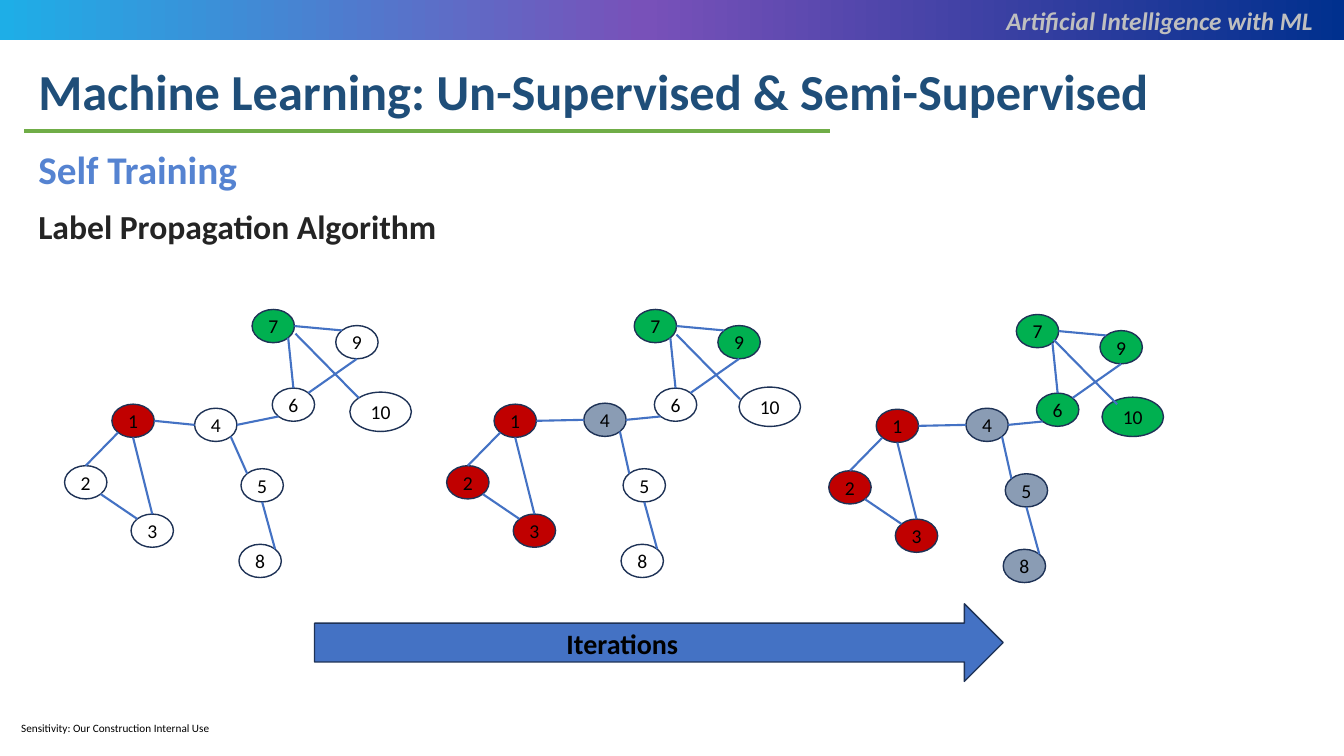
import copy
import math
import pptx
import pptx.util
import pptx.dml.color
import pptx.enum.shapes
import pptx.enum.text
import pptx.oxml
import pptx.oxml.ns

Inches = pptx.util.Inches
Pt = pptx.util.Pt
Kind = pptx.enum.shapes.MSO_SHAPE
Align = pptx.enum.text.PP_ALIGN
Anchor = pptx.enum.text.MSO_ANCHOR
Fit = pptx.enum.text.MSO_AUTO_SIZE
qn = pptx.oxml.ns.qn

HUES = {
    "navy": "00308E", "plum": "7851B9", "sky": "1EAEE7",
    "title": "1F4E79", "rule": "70AD47", "head": "5583D1", "sub": "242424",
    "pale": "BFBFBF", "black": "000000", "edge": "4472C4", "rim": "1E3256",
    "red": "C00000", "green": "00B050", "gray": "8A9CB4",
}

NODES = {
    "3": (1.3, 5.1), "2": (0.64, 4.62), "1": (1.11, 4.01), "4": (2, 4),
    "5": (2.39, 4.65), "6": (2.7, 3.85), "7": (2.5, 3.07),
    "8": (2.37, 5.4), "9": (3.33, 3.23),
}
SIZE = (0.42, 0.33)
SITES = {"E": 0, "SE": 45, "S": 90, "SW": 135, "W": 180, "NW": 225, "N": 270, "NE": 315}
EDGES = [
    ("1", "SW", "2", "N"), ("8", "NE", "5", "S"), ("5", "NW", "4", "SE"),
    ("1", "S", "3", "N"), ("2", "SE", "3", "NW"), ("4", "E", "6", "SW"),
    ("7", "SE", "6", "N"), ("7", "E", "9", "NW"), ("9", "S", "6", "NE"),
    ("1", "E", "4", "W"),
]
STEPS = [
    {"shift": (0, 0), "moved": {"4": (1.93, 4.05)}, "ten": (3.47, 3.89),
     "link": (2.93, 3.31), "marks": {"red": ["1"], "green": ["7"]}},
    {"shift": (3.79, 0), "moved": {}, "ten": (7.33, 3.84),
     "link": (6.71, 3.32),
     "marks": {"red": ["1", "2", "3"], "green": ["7", "9"], "gray": ["4"]}},
    {"shift": (7.58, 0.05), "moved": {}, "ten": (10.93, 3.94),
     "link": (10.45, 3.37),
     "marks": {"red": ["1", "2", "3"], "green": ["6", "7", "9", "10"],
               "gray": ["4", "5", "8"]}},
]


def site(spot, name):
    turn = math.radians(SITES[name])
    return tuple(p + s / 2 * (1 + f(turn))
                 for p, s, f in zip(spot, SIZE, (math.cos, math.sin)))


class Deck:
    font = "Calibri"

    def __init__(self):
        self.show = pptx.Presentation()
        self.show.slide_width = Inches(13.33)
        self.show.slide_height = Inches(7.5)
        self.slide = self.show.slides.add_slide(self.show.slide_layouts[1])

    def hue(self, name):
        return pptx.dml.color.RGBColor.from_string(HUES[name])

    def style(self, par, size, hue, bold=False, slant=False, align=Align.LEFT):
        par.alignment = align
        for run in par.runs:
            font = run.font
            font.name = self.font
            font.size = Pt(size)
            font.bold = bold
            font.italic = slant
            font.color.rgb = self.hue(hue)

    def place(self, item, box):
        item.left, item.top, item.width, item.height = map(Inches, box)

    def hold(self, index, box, lines):
        item = self.slide.placeholders[index]
        self.place(item, box)
        frame = item.text_frame
        frame.text = "\n".join(line[0] for line in lines)
        frame.auto_size = Fit.NONE
        frame.vertical_anchor = Anchor.TOP
        for row, (par, line) in enumerate(zip(frame.paragraphs, lines)):
            prop = par._p.get_or_add_pPr()
            prop.set("marL", "0")
            prop.set("indent", "0")
            prop.append(pptx.oxml.parse_xml(
                '<a:buNone xmlns:a="http://schemas.openxmlformats.org/drawingml/2006/main"/>'))
            par.space_before = Pt(10 if row else 0)
            self.style(par, line[1], line[2], bold=True)

    def text(self, words, box, size, hue, inset=True, **look):
        item = self.slide.shapes.add_textbox(*map(Inches, box))
        frame = item.text_frame
        frame.word_wrap = inset
        if not inset:
            frame.margin_left = frame.margin_right = 0
            frame.margin_top = frame.margin_bottom = 0
        frame.text = words
        self.style(frame.paragraphs[0], size, hue, **look)

    def shape(self, kind, box, fill=None, rim="rim"):
        item = self.slide.shapes.add_shape(kind, *map(Inches, box))
        item.shadow.inherit = False
        if fill:
            item.fill.solid()
            item.fill.fore_color.rgb = self.hue(fill)
        else:
            item.fill.background()
        if rim:
            item.line.color.rgb = self.hue(rim)
            item.line.width = Pt(1)
        else:
            item.line.fill.background()
        return item

    def band(self, box, hues):
        item = self.shape(Kind.RECTANGLE, box, rim=None)
        item.fill.gradient()
        item.fill.gradient_angle = 180
        stops = item._element.spPr.find(".//" + qn("a:gsLst"))
        stops.insert(1, copy.deepcopy(stops[0]))
        for stop, (at, hue) in zip(item.fill.gradient_stops, hues):
            stop.position = at
            stop.color.rgb = self.hue(hue)

    def node(self, label, spot, fill=None, size=SIZE):
        item = self.shape(Kind.OVAL, (*spot, *size), fill)
        frame = item.text_frame
        frame.margin_left = frame.margin_right = 0
        frame.margin_top = frame.margin_bottom = 0
        frame.word_wrap = False
        frame.vertical_anchor = Anchor.MIDDLE
        frame.text = label
        self.style(frame.paragraphs[0], 14, "black", align=Align.CENTER)

    def line(self, start, end, hue="edge", width=1.5):
        item = self.slide.shapes.add_connector(
            pptx.enum.shapes.MSO_CONNECTOR.STRAIGHT, *map(Inches, (*start, *end)))
        item.line.color.rgb = self.hue(hue)
        item.line.width = Pt(width)
        item._element.spPr.append(pptx.oxml.parse_xml(
            '<a:effectLst xmlns:a="http://schemas.openxmlformats.org/drawingml/2006/main"/>'))

    def graph(self, step):
        fills = {n: hue for hue, names in step["marks"].items() for n in names}
        dx, dy = step["shift"]
        spots = {n: (x + dx, y + dy) for n, (x, y) in NODES.items()} | step["moved"]
        for name, spot in spots.items():
            self.node(name, spot, fills.get(name))
        for tail, out, head, into in EDGES:
            self.line(site(spots[tail], out), site(spots[head], into))
        self.node("10", step["ten"], fills.get("10"), (0.61, 0.39))
        x, y = step["link"]
        self.line((x, y), (x + 0.63, y + 0.64))


def main():
    deck = Deck()
    deck.band((0, 0, 13.33, 0.4), [(0, "navy"), (0.52, "plum"), (1, "sky")])
    deck.text("Sensitivity: Our Construction Internal Use",
              (0.21, 7.16, 1.89, 0.13), 8, "black", inset=False)
    deck.hold(0, (0.28, 0.55, 11.62, 0.71),
              [("Machine Learning: Un-Supervised & Semi-Supervised", 36, "title")])
    deck.line((0.24, 1.3), (8.23, 1.3), "rule", 2.25)
    deck.hold(1, (0.28, 1.39, 12.17, 1.25),
              [("Self Training", 28, "head"), ("Label Propagation Algorithm", 24, "sub")])
    deck.text("Artificial Intelligence with ML", (6.39, 0, 6.73, 0.4), 18, "pale",
              bold=True, slant=True, align=Align.RIGHT)
    for step in STEPS:
        deck.graph(step)
    deck.shape(Kind.RIGHT_ARROW, (3.12, 5.99, 6.83, 0.77), "edge")
    deck.text("Iterations", (5.52, 6.17, 4.21, 0.44), 20, "black", bold=True)
    deck.show.save("out.pptx")


if __name__ == "__main__":
    main()
